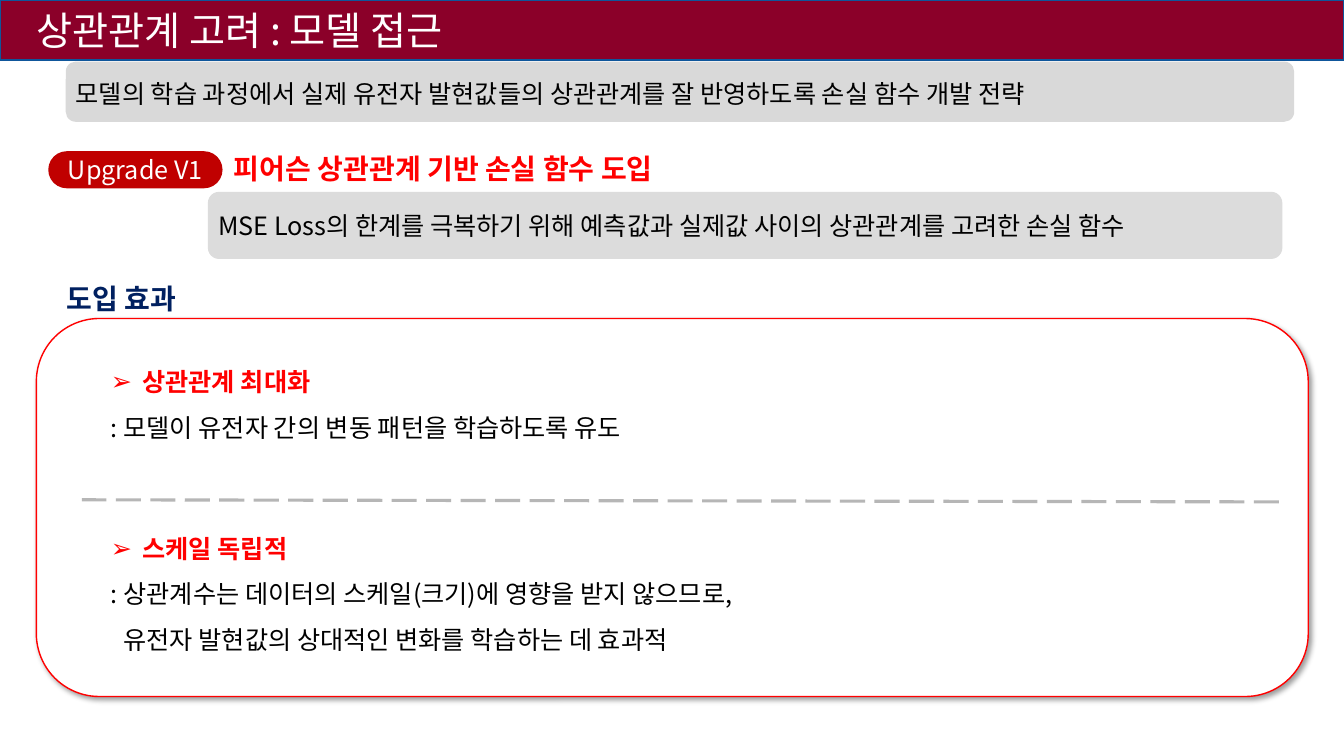
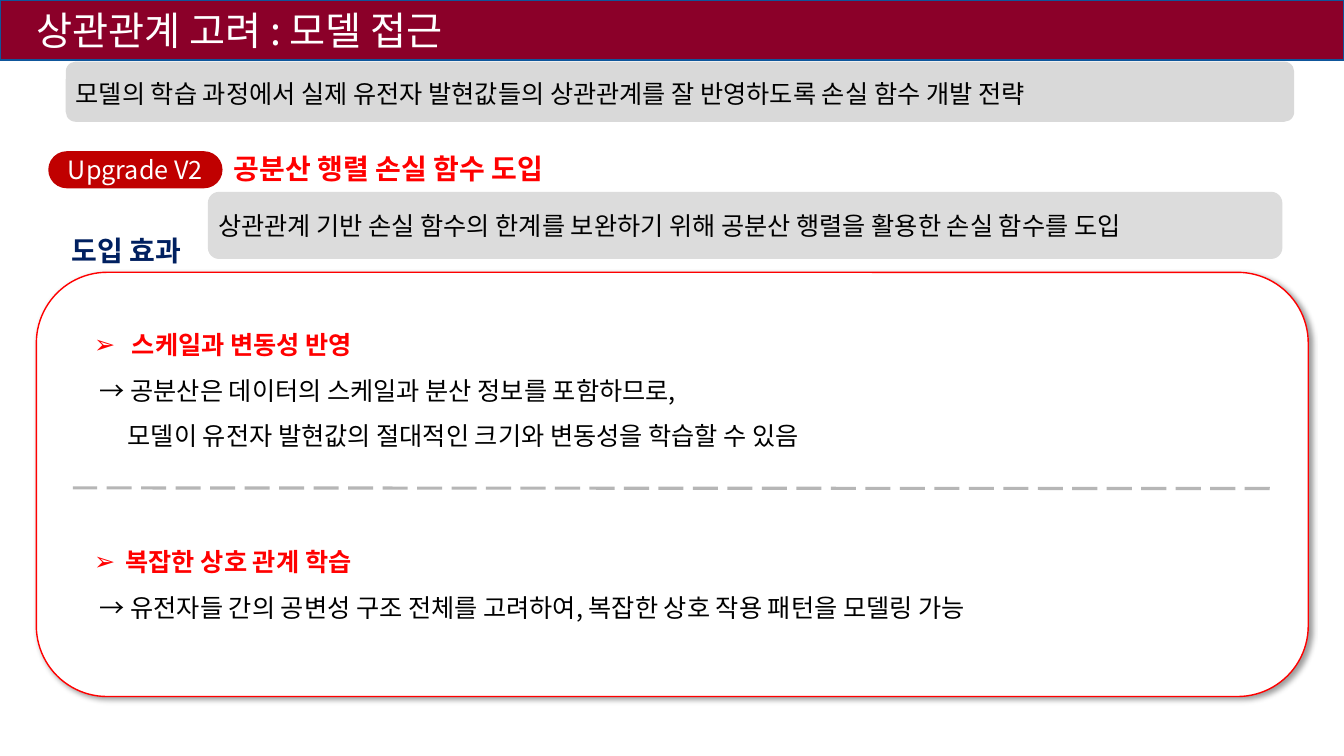
"""Build two slides on correlation-aware loss functions."""
import pptx
import pptx.dml.color
import pptx.enum.dml
import pptx.enum.shapes
import pptx.enum.text
import pptx.oxml
import pptx.oxml.ns
import pptx.util

Pt = pptx.util.Pt
RGBColor = pptx.dml.color.RGBColor
ANCHOR = pptx.enum.text.MSO_ANCHOR
ALIGN = pptx.enum.text.PP_ALIGN
SHAPE = pptx.enum.shapes.MSO_SHAPE

BLACK = RGBColor(0x00, 0x00, 0x00)
WHITE = RGBColor(0xFF, 0xFF, 0xFF)
RED = RGBColor(0xFF, 0x00, 0x00)
PILL_RED = RGBColor(0xC0, 0x00, 0x00)
BURGUNDY = RGBColor(0x8B, 0x00, 0x29)
BAND_EDGE = RGBColor(0x0F, 0x56, 0x9B)
NAVY = RGBColor(0x00, 0x20, 0x60)
STRATEGY_GREY = RGBColor(0xD9, 0xD9, 0xD9)
FOCUS_GREY = RGBColor(0xDC, 0xDC, 0xDC)
DASH_GREY = RGBColor(0xB6, 0xB6, 0xB6)

KOREAN = "Noto Sans CJK KR"
TITLE = "상관관계 고려 : 모델 접근"
STRATEGY = "모델의 학습 과정에서 실제 유전자 발현값들의 상관관계를 잘 반영하도록 손실 함수 개발 전략"
EFFECT_LABEL = "도입 효과"
PANEL_BOTTOM = 497.5
LIST_HEIGHT = 101.5

SLIDES = [
    {
        "pill": "Upgrade V1",
        "heading": "피어슨 상관관계 기반 손실 함수 도입",
        "focus": "MSE Loss의 한계를 극복하기 위해 예측값과 실제값 사이의 상관관계를 고려한 손실 함수",
        "heading_top": 105,
        "label": (40.5, 197.5),
        "panel_top": 227.5,
        "divider": (913.5, 358.5, 58.5, 357),
        "list_left": 72,
        "list_width": 728,
        "effects": [
            {"top": 247.5, "head": "상관관계 최대화", "hang": 22.5,
             "lines": [(0, ": 모델이 유전자 간의 변동 패턴을 학습하도록 유도")]},
            {"top": 366.5, "head": "스케일 독립적", "hang": 22.5,
             "lines": [(0, ": 상관계수는 데이터의 스케일(크기)에 영향을 받지 않으므로,"),
                       (9, "유전자 발현값의 상대적인 변화를 학습하는 데 효과적")]},
        ],
    },
    {
        "pill": "Upgrade V2",
        "heading": "공분산 행렬 손실 함수 도입",
        "focus": "상관관계 기반 손실 함수의 한계를 보완하기 위해 공분산 행렬을 활용한 손실 함수를 도입",
        "heading_top": 104.5,
        "label": (44, 163.5),
        "panel_top": 194.5,
        "divider": (907, 349, 52, 348.5),
        "list_left": 60,
        "list_width": 839,
        "effects": [
            {"top": 221, "head": "스케일과 변동성 반영", "hang": 27,
             "lines": [(4, "→ 공분산은 데이터의 스케일과 분산 정보를 포함하므로,"),
                       (24, "모델이 유전자 발현값의 절대적인 크기와 변동성을 학습할 수 있음")]},
            {"top": 376, "head": "복잡한 상호 관계 학습", "hang": 22.5,
             "lines": [(4, "→ 유전자들 간의 공변성 구조 전체를 고려하여, 복잡한 상호 작용 패턴을 모델링 가능")]},
        ],
    },
]


def apply(target, **values):
    """Set each named attribute on the target."""
    for name, value in values.items():
        setattr(target, name, value)


def add_xml(parent, tag, content="", **attributes):
    """Append a DrawingML element to the parent."""
    settings = " ".join(f'{name}="{value}"' for name, value in attributes.items())
    namespace = pptx.oxml.ns.nsdecls("a")
    parent.append(pptx.oxml.parse_xml(f"<a:{tag} {namespace} {settings}>{content}</a:{tag}>"))


def place(shape, left, top, width, height):
    """Position a shape in points."""
    apply(shape, left=Pt(left), top=Pt(top), width=Pt(width), height=Pt(height))


def write(paragraph, text, size, color, bold=False, font=KOREAN, align=ALIGN.LEFT):
    """Write one formatted run into a paragraph."""
    paragraph.alignment = align
    run = paragraph.add_run()
    run.text = text
    apply(run.font, size=Pt(size), bold=bold, name=font)
    run.font.color.rgb = color
    add_xml(run._r.get_or_add_rPr(), "ea", typeface=KOREAN)


def paint(shape, fill, line=None):
    """Give a shape a solid fill and an optional one-point outline."""
    shape.fill.solid()
    shape.fill.fore_color.rgb = fill
    if line is None:
        shape.line.fill.background()
    else:
        shape.line.color.rgb = line
        shape.line.width = Pt(1)


def add_box(slide, box, fill, line=None):
    """Add a rounded rectangle without a theme shadow."""
    shape = slide.shapes.add_shape(SHAPE.ROUNDED_RECTANGLE, *map(Pt, box))
    shape.shadow.inherit = False
    paint(shape, fill, line)
    return shape


def add_bar(slide, box, fill, text, margin_top):
    """Add a grey statement bar."""
    frame = add_box(slide, box, fill).text_frame
    apply(frame, word_wrap=True, vertical_anchor=ANCHOR.MIDDLE,
          margin_left=Pt(5), margin_top=Pt(margin_top))
    write(frame.paragraphs[0], text, 18, BLACK)


def add_label(slide, box, text, color, font=KOREAN):
    """Add a bold section label."""
    frame = slide.shapes.add_textbox(*map(Pt, box)).text_frame
    frame.word_wrap = True
    write(frame.paragraphs[0], text, 20, color, True, font)


def fill_title(title):
    """Turn the title placeholder into the top band."""
    place(title, 0, 0, 960, 43)
    paint(title, BURGUNDY, BAND_EDGE)
    apply(title.text_frame, margin_left=Pt(26), word_wrap=True, vertical_anchor=ANCHOR.MIDDLE,
          auto_size=pptx.enum.text.MSO_AUTO_SIZE.NONE)
    write(title.text_frame.paragraphs[0], TITLE, 28, WHITE)


def fill_effect(body, effect):
    """Write one effect with its bulleted head and plain lines."""
    frame = body.text_frame
    apply(frame, word_wrap=True, vertical_anchor=ANCHOR.TOP,
          auto_size=pptx.enum.text.MSO_AUTO_SIZE.NONE)
    rows = [(effect["hang"], effect["head"])] + effect["lines"]
    for index, (margin, text) in enumerate(rows):
        is_head = index == 0
        paragraph = frame.paragraphs[0] if is_head else frame.add_paragraph()
        apply(paragraph, line_spacing=1.5, space_before=Pt(0), space_after=Pt(0))
        write(paragraph, text, 18, RED if is_head else BLACK, is_head)
        properties = paragraph._p.get_or_add_pPr()
        properties.set("marL", str(Pt(margin)))
        properties.set("indent", str(Pt(-margin) if is_head else 0))
        if is_head:
            add_xml(properties, "buFont", typeface="Arial")
            add_xml(properties, "buChar", char="➢")
        else:
            add_xml(properties, "buNone")


def add_panel(slide, top):
    """Add the outlined panel with its soft shadow behind the lists."""
    panel = add_box(slide, (26, top, 908.5, PANEL_BOTTOM - top), WHITE, RED)
    effects = panel.element.spPr.find(pptx.oxml.ns.qn("a:effectLst"))
    add_xml(effects, "outerShdw", '<a:srgbClr val="000000"><a:alpha val="40000"/></a:srgbClr>',
            blurRad=Pt(4), dist=Pt(3), dir=45 * 60000, algn="tl", rotWithShape=0)
    slide.shapes.title.element.addprevious(panel.element)


def add_divider(slide, ends):
    """Add the dashed line between the two effects."""
    divider = slide.shapes.add_connector(pptx.enum.shapes.MSO_CONNECTOR.STRAIGHT, *map(Pt, ends))
    divider.line.color.rgb = DASH_GREY
    apply(divider.line, width=Pt(2.25), dash_style=pptx.enum.dml.MSO_LINE.LONG_DASH)
    add_xml(divider.element.spPr, "effectLst")


def build_slide(presentation, content):
    """Build one slide from its content."""
    slide = presentation.slides.add_slide(presentation.slide_layouts[3])
    fill_title(slide.shapes.title)
    for index, effect in enumerate(content["effects"], 1):
        body = slide.placeholders[index]
        place(body, content["list_left"], effect["top"], content["list_width"], LIST_HEIGHT)
        fill_effect(body, effect)
    add_panel(slide, content["panel_top"])
    add_bar(slide, (47, 44, 877.5, 43), STRATEGY_GREY, STRATEGY, 6.5)
    add_bar(slide, (148.5, 137, 767.5, 48), FOCUS_GREY, content["focus"], 3.5)
    pill = add_box(slide, (34.5, 108, 124.5, 26.5), PILL_RED)
    pill.adjustments[0] = 0.5
    apply(pill.text_frame, word_wrap=True, vertical_anchor=ANCHOR.MIDDLE)
    write(pill.text_frame.paragraphs[0], content["pill"], 18, WHITE, align=ALIGN.CENTER)
    add_label(slide, (160, content["heading_top"], 347, 31.5), content["heading"], RED)
    add_label(slide, (*content["label"], 106.5, 31.5), EFFECT_LABEL, NAVY, "Arial")
    add_divider(slide, content["divider"])


def main():
    """Create and save the presentation."""
    presentation = pptx.Presentation()
    apply(presentation, slide_width=Pt(960), slide_height=Pt(540))
    for content in SLIDES:
        build_slide(presentation, content)
    presentation.save("out.pptx")


if __name__ == "__main__":
    main()
